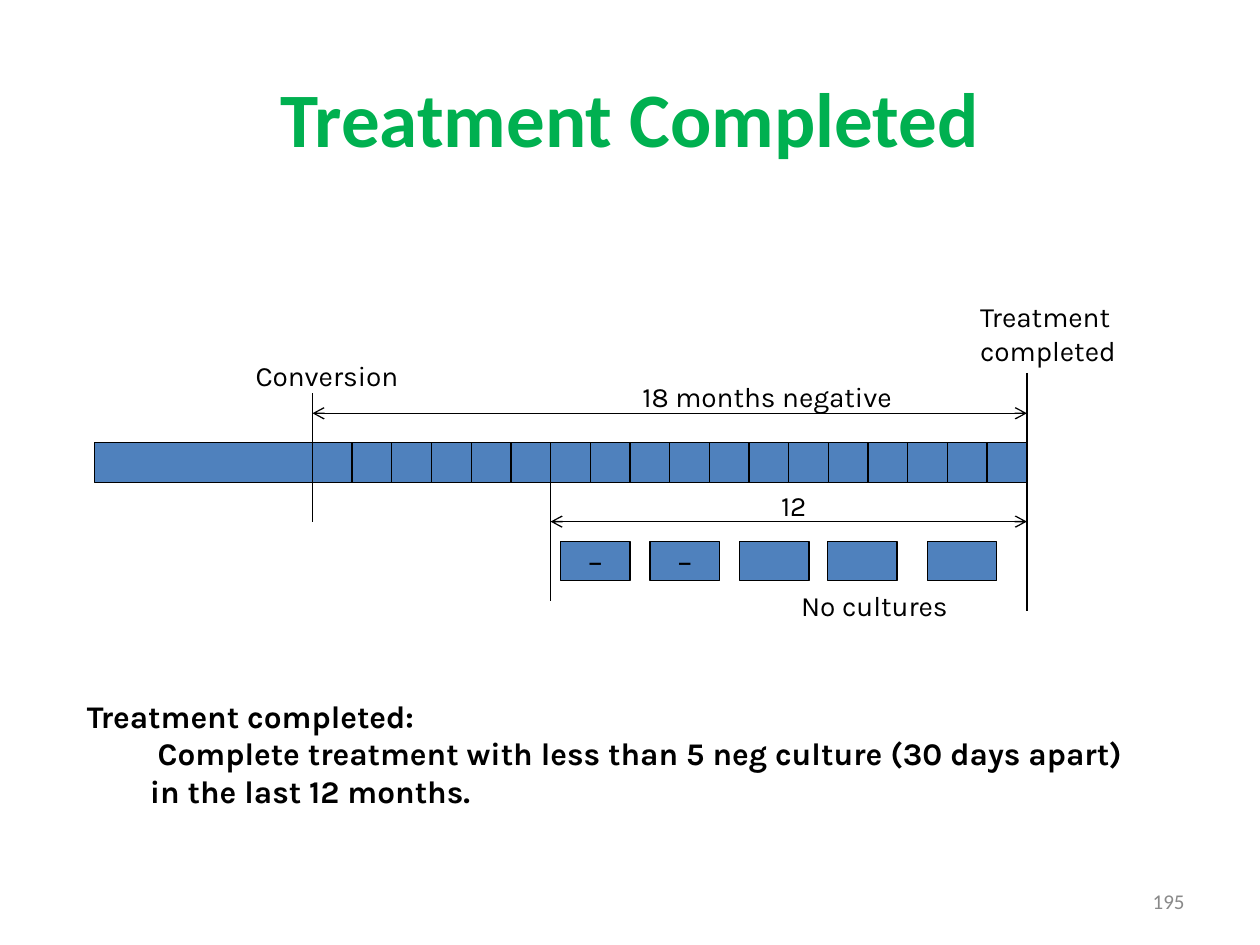
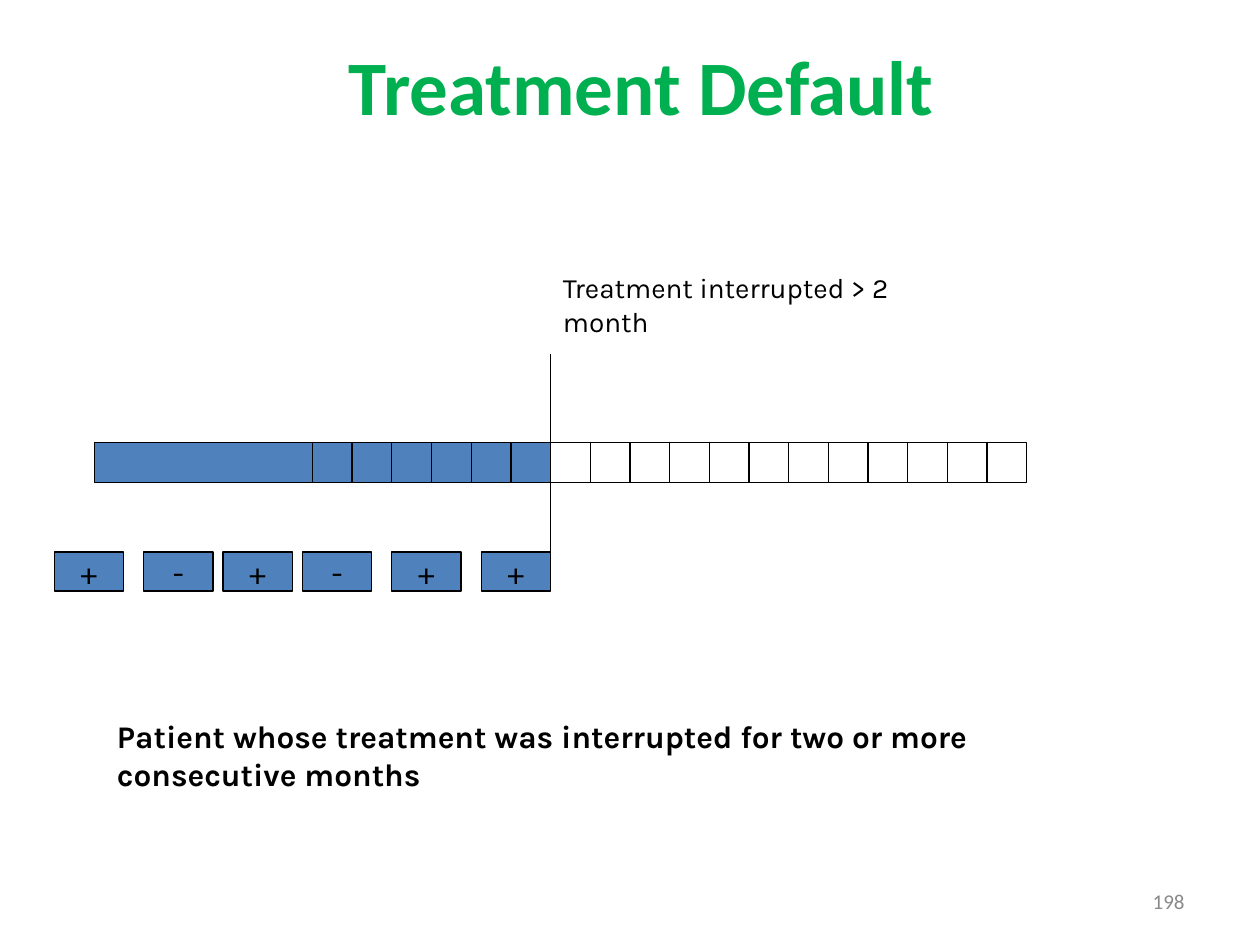
from pptx import Presentation
from pptx.dml.color import RGBColor
from pptx.enum.shapes import MSO_CONNECTOR, MSO_SHAPE
from pptx.enum.text import MSO_ANCHOR as Anchor, PP_ALIGN as Align
from pptx.oxml.ns import qn
from pptx.util import Inches, Pt
from lxml import etree

COLORS = {"title": "00B050", "number": "898989", "bar": "4F81BD", "ink": "000000"}
HEAD_FONT, BODY_FONT = "Calibri", "Karla"

BAR_X, BAR_Y, BAR_H = 0.75, 3.51, 0.32
START_W = 1.81
CONVERSION_X, END_X = 2.48, 8.15
MONTHS = 18
MONTH_W = (END_X - CONVERSION_X) / MONTHS
SIXTH_MONTH_X = CONVERSION_X + 6 * MONTH_W
CULTURE_W, CULTURE_H = 0.55, 0.31


def color(name):
    return RGBColor.from_string(COLORS[name])


def write(tf, text, size=16, font=BODY_FONT, ink="ink", bold=False,
          align=Align.LEFT, anchor=Anchor.TOP, wrap=True, indent=0):
    """Fill a text frame, one paragraph a line; indent applies after the first."""
    tf.word_wrap = wrap
    tf.vertical_anchor = anchor
    for i, line in enumerate(text.split("\n")):
        p = tf.paragraphs[0] if i == 0 else tf.add_paragraph()
        p.alignment = align
        if i and indent:
            pr = p._p.get_or_add_pPr()
            pr.set("marL", str(Inches(indent)))
            pr.set("indent", "0")
        r = p.add_run()
        r.text = line
        r.font.size, r.font.name, r.font.bold = Pt(size), font, bold
        r.font.color.rgb = color(ink)


def add_text(s, box, text, **fmt):
    sp = s.shapes.add_textbox(*map(Inches, box))
    write(sp.text_frame, text, **fmt)


def add_box(s, box, text="", filled=True):
    sp = s.shapes.add_shape(MSO_SHAPE.RECTANGLE, *map(Inches, box))
    sp.shadow.inherit = False
    if filled:
        sp.fill.solid()
        sp.fill.fore_color.rgb = color("bar")
    else:
        sp.fill.background()
    sp.line.color.rgb = color("ink")
    sp.line.width = Pt(0.75)
    if text:
        write(sp.text_frame, text, size=18, align=Align.CENTER,
              anchor=Anchor.MIDDLE, wrap=False)


def add_line(s, x1, y1, x2, y2, arrows=False):
    line = s.shapes.add_connector(MSO_CONNECTOR.STRAIGHT,
                                  *map(Inches, (x1, y1, x2, y2)))
    line.line.color.rgb = color("ink")
    line.line.width = Pt(0.75)
    if arrows:
        ln = line.line._get_or_add_ln()
        for end in ("a:headEnd", "a:tailEnd"):
            etree.SubElement(ln, qn(end)).set("type", "arrow")
    etree.SubElement(line._element.spPr, qn("a:effectLst"))


def vertical_mark(s, x, top, bottom):
    add_line(s, x, top, x, bottom)


def span_arrow(s, left, right, y):
    add_line(s, left, y, right, y, arrows=True)


def add_frame(prs, title, title_box, number):
    """Add a slide with its title and slide number."""
    s = prs.slides.add_slide(prs.slide_layouts[6])
    add_text(s, title_box, title, size=44, font=HEAD_FONT, ink="title",
             bold=True, align=Align.CENTER, anchor=Anchor.MIDDLE)
    add_text(s, (7.17, 6.95, 2.33, 0.4), number, size=12, font=HEAD_FONT,
             ink="number", align=Align.RIGHT, anchor=Anchor.MIDDLE)
    return s


def month_bar(s, treated):
    """Draw the treatment bar, with the first treated months filled."""
    add_box(s, (BAR_X, BAR_Y, START_W, BAR_H))
    for month in range(MONTHS):
        x = CONVERSION_X + month * MONTH_W
        add_box(s, (x, BAR_Y, MONTH_W, BAR_H), filled=month < treated)


def cultures(s, y, results):
    for x, sign in results:
        add_box(s, (x, y, CULTURE_W, CULTURE_H), sign)


def completed_slide(prs):
    s = add_frame(prs, "Treatment Completed", (0.5, 0.3, 9, 1.25), "195")
    month_bar(s, treated=MONTHS)
    vertical_mark(s, CONVERSION_X, 3.12, 4.14)
    vertical_mark(s, SIXTH_MONTH_X, BAR_Y, 4.77)
    vertical_mark(s, END_X, 2.96, 4.85)
    span_arrow(s, CONVERSION_X, END_X, 3.28)
    span_arrow(s, SIXTH_MONTH_X, END_X, 4.14)
    cultures(s, 4.3, [(4.45, "–"), (5.16, "–"), (5.87, ""), (6.57, ""), (7.36, "")])
    for box, label in [
        ((5, 2.96, 2.44, 0.37), "18 months negative"),
        ((6.1, 3.83, 1.65, 0.37), "12"),
        ((1.93, 2.8, 2.28, 0.37), "Conversion"),
        ((7.68, 2.33, 1.68, 0.64), "Treatment completed"),
        ((6.26, 4.62, 2.13, 0.37), "No cultures"),
    ]:
        add_text(s, box, label)
    add_text(s, (0.59, 5.48, 8.51, 1.45),
             "Treatment completed:\n Complete treatment with less than 5 neg culture "
             "(30 days apart) in the last 12 months.",
             size=18, bold=True, indent=0.5)


def default_slide(prs):
    s = add_frame(prs, "Treatment Default", (0.83, 0.28, 8.52, 0.78), "198")
    month_bar(s, treated=6)
    vertical_mark(s, SIXTH_MONTH_X, 2.81, 4.62)
    cultures(s, 4.38, [(0.43, "+"), (1.14, "-"), (1.77, "+"),
                       (2.4, "-"), (3.11, "+"), (3.82, "+")])
    add_text(s, (4.37, 2.1, 3.47, 0.64), "Treatment interrupted > 2 month")
    add_text(s, (0.83, 5.64, 7.95, 0.7),
             "Patient whose treatment was interrupted for two or more "
             "consecutive months", size=18, bold=True)


def main():
    prs = Presentation()
    prs.slide_width, prs.slide_height = Inches(10), Inches(7.5)
    completed_slide(prs)
    default_slide(prs)
    prs.save("out.pptx")


if __name__ == "__main__":
    main()
